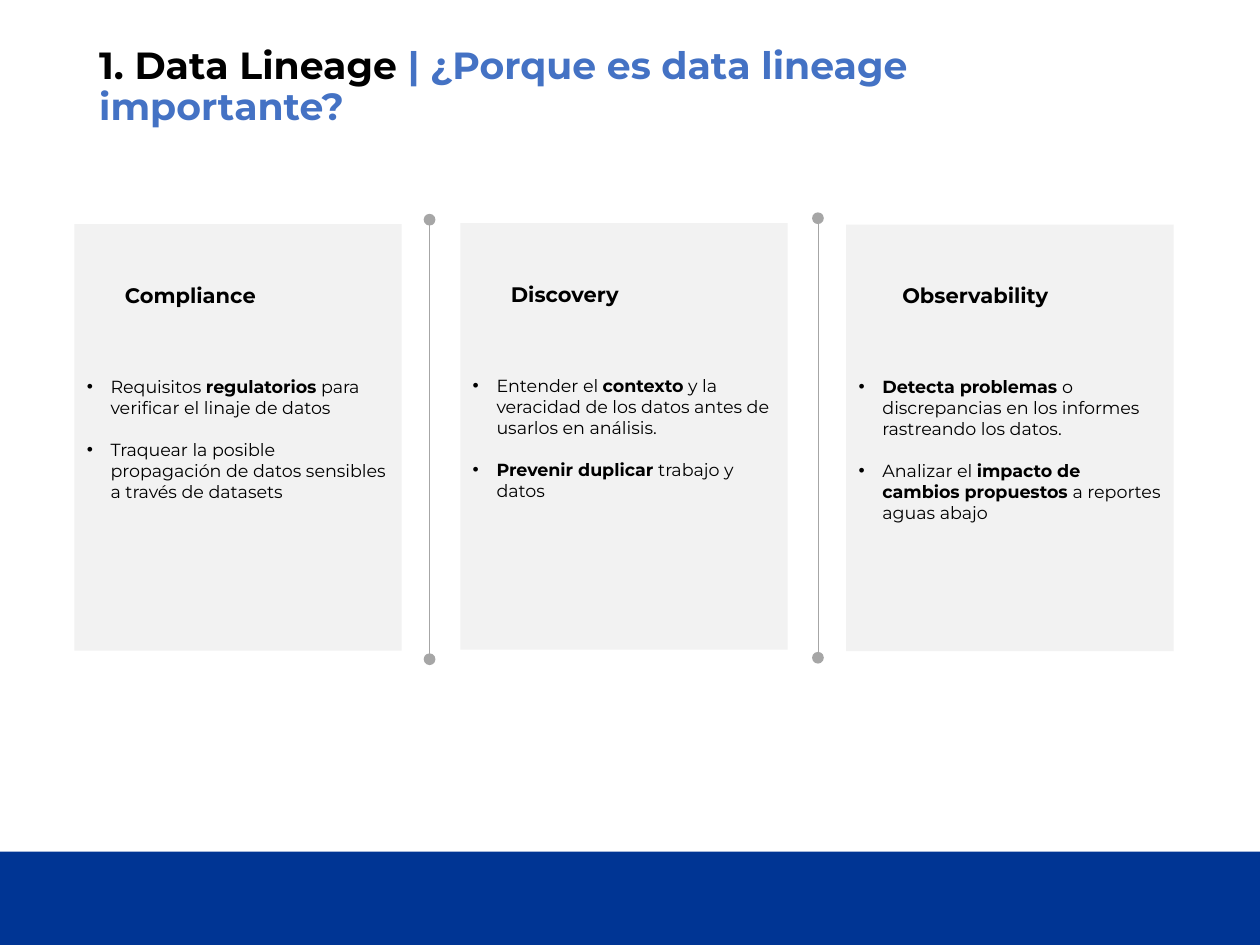
from lxml import etree
from pptx import Presentation
from pptx import util as u
from pptx.dml.color import RGBColor
from pptx.enum import shapes, text
from pptx.oxml.ns import qn

COLORS = {
    "black": "000000",
    "blue": "4472C4",
    "navy": "003594",
    "card": "F2F2F2",
    "gray": "A6A6A6",
}
FONT = "Montserrat"


def rgb(name):
    return RGBColor.from_string(COLORS[name])


def add_run(p, content, size=10, bold=False, color="black"):
    r = p.add_run()
    r.text = content
    r.font.name = FONT
    r.font.size = u.Pt(size)
    r.font.bold = bold
    r.font.color.rgb = rgb(color)


def set_indent(p, left, first=0, bullet=None):
    pPr = p._p.get_or_add_pPr()
    pPr.set("marL", str(u.Cm(left)))
    pPr.set("indent", str(u.Cm(first)))
    if bullet:
        etree.SubElement(pPr, qn("a:buFont")).set("typeface", "Arial")
        etree.SubElement(pPr, qn("a:buChar")).set("char", bullet)


class Deck:
    """Holds the style and the current slide."""

    def __init__(self, width, height):
        self.prs = Presentation()
        self.prs.slide_width, self.prs.slide_height = u.Cm(width), u.Cm(height)
        self.s = self.prs.slides.add_slide(self.prs.slide_layouts[6])

    def shape(self, kind, x, y, w, h, fill, line=None):
        sp = self.s.shapes.add_shape(kind, u.Cm(x), u.Cm(y), u.Cm(w), u.Cm(h))
        sp.shadow.inherit = False
        sp.fill.solid()
        sp.fill.fore_color.rgb = rgb(fill)
        if line:
            sp.line.color.rgb = rgb(line)
            sp.line.width = u.Pt(1)
        else:
            sp.line.fill.background()
        return sp

    def title(self, x, y, w, h, runs):
        tf = self.s.shapes.add_textbox(u.Cm(x), u.Cm(y), u.Cm(w), u.Cm(h)).text_frame
        tf.word_wrap = True
        tf.vertical_anchor = text.MSO_ANCHOR.MIDDLE
        p = tf.paragraphs[0]
        p.line_spacing = 0.9
        for content, color in runs:
            add_run(p, content, size=21.6, bold=True, color=color)

    def card(self, x, y, w, h, heading, indent, bullets):
        sp = self.shape(shapes.MSO_SHAPE.RECTANGLE, x, y, w, h, "card")
        tf = sp.text_frame
        tf.word_wrap = True
        tf.vertical_anchor = text.MSO_ANCHOR.TOP
        tf.margin_top = u.Cm(1.17)
        p = tf.paragraphs[0]
        p.alignment = text.PP_ALIGN.LEFT
        set_indent(p, indent)
        add_run(p, heading, size=12, bold=True)
        for i, runs in enumerate(bullets):
            p = tf.add_paragraph()
            p.alignment = text.PP_ALIGN.LEFT
            p.space_before = u.Pt(12 if i else 39)
            set_indent(p, 0.48, -0.48, "•")
            for content, bold in runs:
                add_run(p, content, bold=bold)

    def divider(self, x, y, length, dot=0.2):
        ln = self.s.shapes.add_connector(
            shapes.MSO_CONNECTOR.STRAIGHT, u.Cm(x), u.Cm(y), u.Cm(x), u.Cm(y + length))
        ln.line.color.rgb = rgb("gray")
        ln.line.width = u.Pt(0.5)
        etree.SubElement(ln._element.spPr, qn("a:effectLst"))
        for cy in (y, y + length):
            self.shape(shapes.MSO_SHAPE.OVAL, x - dot / 2, cy - dot / 2, dot, dot,
                       "gray", line="gray")


# Heading, heading indent, top, bullets made of (text, bold) runs
CARDS = [
    ("Compliance", 0.77, 4.52, [
        [("Requisitos ", False), ("regulatorios", True),
         (" para verificar el linaje de datos", False)],
        [("Traquear la posible propagación de datos sensibles a través de datasets", False)],
    ]),
    ("Discovery", 0.77, 4.5, [
        [("Entender el ", False), ("contexto", True),
         (" y la veracidad de los datos antes de usarlos en análisis.", False)],
        [("Prevenir duplicar ", True), ("trabajo y datos", False)],
    ]),
    ("Observability", 0.88, 4.53, [
        [("Detecta problemas ", True),
         ("o discrepancias en los informes rastreando los datos.", False)],
        [("Analizar el ", False), ("impacto de cambios propuestos ", True),
         ("a reportes aguas abajo", False)],
    ]),
]


def main():
    deck = Deck(25.4, 19.05)

    # Footer band and title
    deck.shape(shapes.MSO_SHAPE.RECTANGLE, 0, 17.17, 25.4, 1.88, "navy")
    deck.title(1.75, 1.02, 21.9, 1.5, [
        ("1. Data Lineage ", "black"),
        ("| ¿Porque es data lineage importante?", "blue"),
    ])

    # Three cards at an equal pitch
    for i, (heading, indent, top, bullets) in enumerate(CARDS):
        deck.card(1.5 + 7.78 * i, top, 6.6, 8.6, heading, indent, bullets)

    # Dividers between the cards
    for x, y in ((8.66, 4.43), (16.49, 4.4)):
        deck.divider(x, y, 8.86)

    deck.prs.save("out.pptx")


if __name__ == "__main__":
    main()
